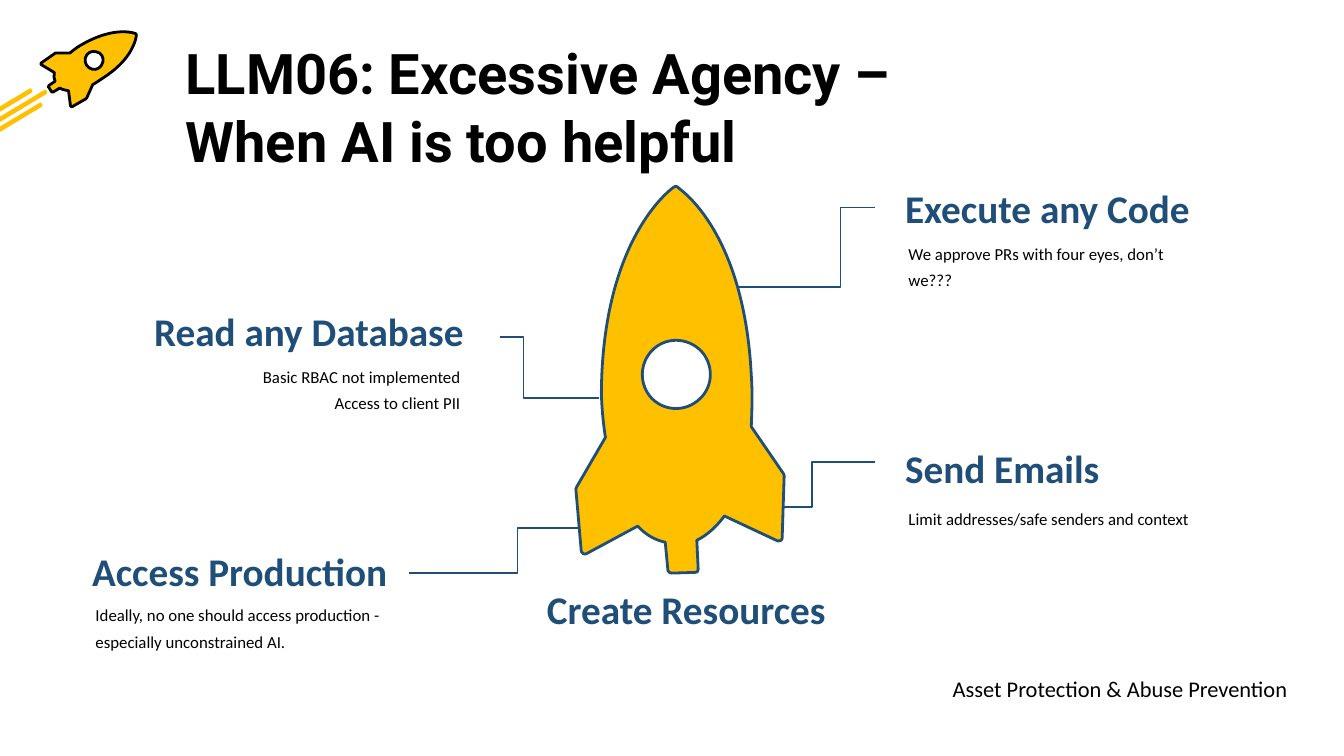
from dataclasses import dataclass
from math import cos, radians, sin

from pptx import Presentation
from pptx.dml.color import RGBColor
from pptx.enum.text import MSO_AUTO_SIZE as AutoSize, PP_ALIGN as Align
from pptx.oxml.ns import qn
from pptx.oxml.xmlchemy import OxmlElement
from pptx.util import Cm, Pt


@dataclass(frozen=True)
class Theme:
    black: RGBColor = RGBColor(0x00, 0x00, 0x00)
    blue: RGBColor = RGBColor(0x1F, 0x4E, 0x79)
    amber: RGBColor = RGBColor(0xFF, 0xC0, 0x00)
    title_font: str = "Roboto"
    font: str = "Calibri"
    title: int = 60
    heading: int = 42
    footer: int = 24
    body: int = 18
    outline: float = 3
    leader: float = 1.75


THEME = Theme()
UNIT = Cm(2.54)  # one unit of the outlines below
WIDE_INSETS = (Cm(0.38), Cm(0.2))
HEADING_H = 2.06
BODY_W = 11.81

# Outlines: a pair is a line to that point, six numbers are a Bézier curve.
SMALL_ROCKET = [
    [(1.04, 0.79), (0.82, 0.79), (0.81, 0.8), (0.61, 0.94), (0.61, 0.96),
     (0.81, 1.08), (0.8, 1.12, 0.8, 1.17, 0.82, 1.21), (0.73, 1.27),
     (0.72, 1.29), (0.77, 1.37), (0.79, 1.37), (0.89, 1.31),
     (0.9, 1.32, 0.95, 1.34, 1.02, 1.35), (1.05, 1.58), (1.07, 1.59),
     (1.28, 1.47), (1.29, 1.46), (1.38, 1.26),
     (1.43, 1.23, 1.49, 1.19, 1.55, 1.15),
     (1.9, 0.92, 1.99, 0.69, 2.02, 0.58),
     (2.03, 0.54, 2.03, 0.52, 2.03, 0.52), (2.02, 0.5),
     (2.01, 0.5, 1.71, 0.37, 1.19, 0.68),
     (1.19, 0.68, 1.12, 0.72, 1.04, 0.79)],
    [(1.27, 0.86), (1.29, 0.79, 1.36, 0.75, 1.43, 0.77),
     (1.51, 0.78, 1.55, 0.86, 1.53, 0.93), (1.51, 1, 1.44, 1.05, 1.37, 1.03),
     (1.3, 1.01, 1.25, 0.94, 1.27, 0.86)],
]
STREAK = [(0.69, 1.4), (-1.2, 2.54), (-1.21, 2.55, -1.23, 2.54, -1.23, 2.53),
          (-1.25, 2.51), (-1.25, 2.5, -1.25, 2.49, -1.24, 2.48), (0.66, 1.34),
          (0.67, 1.33, 0.68, 1.33, 0.69, 1.35), (0.7, 1.37),
          (0.71, 1.38, 0.7, 1.39, 0.69, 1.4)]
STREAK_OFFSETS = [(0, 0), (-0.07, 0.19), (-0.22, -0.02)]
BIG_ROCKET = [
    [(9.01, 6.51), (8.58, 7.25), (8.57, 7.28), (8.65, 8.2),
     (8.65, 8.21, 8.66, 8.23, 8.67, 8.23), (8.68, 8.24),
     (8.69, 8.25, 8.71, 8.25, 8.73, 8.24), (9.49, 7.83),
     (9.61, 7.96, 9.75, 8.04, 9.9, 8.07), (9.94, 8.49),
     (9.94, 8.51, 9.97, 8.53, 9.99, 8.53), (10.34, 8.52),
     (10.35, 8.52, 10.37, 8.52, 10.38, 8.51),
     (10.39, 8.5, 10.39, 8.49, 10.39, 8.47), (10.37, 8.04),
     (10.44, 8.01, 10.61, 7.91, 10.78, 7.68), (11.57, 8.05),
     (11.58, 8.06, 11.6, 8.06, 11.61, 8.05),
     (11.63, 8.04, 11.64, 8.02, 11.64, 8.01), (11.67, 7.08), (11.66, 7.05),
     (11.18, 6.35), (11.19, 6.11, 11.2, 5.85, 11.18, 5.58),
     (11.1, 4.01, 10.57, 3.25, 10.26, 2.94),
     (10.15, 2.83, 10.08, 2.79, 10.08, 2.78),
     (10.06, 2.77, 10.04, 2.77, 10.02, 2.79),
     (9.98, 2.82, 8.97, 3.55, 8.95, 5.83),
     (8.95, 5.83, 8.95, 6.13, 9.01, 6.51)],
    [(9.7, 5.93), (9.51, 5.73, 9.51, 5.41, 9.71, 5.21),
     (9.91, 5.01, 10.23, 5.02, 10.43, 5.22),
     (10.62, 5.42, 10.62, 5.74, 10.42, 5.93),
     (10.22, 6.13, 9.9, 6.13, 9.7, 5.93)],
]

# Leaders: start x and y, x of the bend, end x and y.
LEADERS = [(13.02, 3.09, 12.51, 10.93, 4.27), (7.44, 5.02, 7.79, 8.91, 5.92),
           (13.02, 6.88, 12.08, 10.45, 7.55), (8.64, 7.86, 7.7, 6.08, 8.53)]

# Text, left, top, width, alignment.
HEADINGS = [
    ("Execute any Code", 33.96, 6.86, 11.38, Align.LEFT),
    ("Send Emails", 33.96, 16.66, 7.92, Align.LEFT),
    ("Read any Database", 5.46, 11.51, 12.32, Align.RIGHT),
    ("Access Production", 3.23, 20.55, 11.81, Align.LEFT),
    ("Create Resources", 20.42, 22.02, 11.15, Align.LEFT),
]
# Text, left, top, height, alignment.
BODIES = [
    ("We approve PRs with four eyes, don’t we???", 33.96, 8.79, 2.31, Align.LEFT),
    ("Limit addresses/safe senders and context", 33.96, 18.82, 1.32, Align.LEFT),
    ("Basic RBAC not implemented\vAccess to client PII", 5.97, 13.44, 3.3, Align.RIGHT),
    ("Ideally, no one should access production - especially unconstrained AI.",
     3.23, 22.45, 2.31, Align.LEFT),
]


def turn(x, y, degrees):
    """Rotate a point clockwise about the slide's top left corner."""
    a = radians(degrees)
    return x * cos(a) - y * sin(a), x * sin(a) + y * cos(a)


def bend_curves(sp, contours):
    """Join the three lines that stand for each curve into one Bézier segment."""
    lines = iter(sp._element.findall(".//" + qn("a:lnTo")))
    for contour in contours:
        for step in contour[1:]:
            group = [next(lines) for _ in range(len(step) // 2)]
            if len(group) == 3:
                curve = OxmlElement("a:cubicBezTo")
                group[0].addprevious(curve)
                for line in group:
                    curve.append(line[0])
                    line.getparent().remove(line)


def add_outline(slide, contours, degrees=0, fill=None, line=None, width=0, closed=True):
    """Draw contours, given as they show, as a shape rotated by degrees."""
    builder = None
    for contour in contours:
        pairs = [pair for step in contour for pair in zip(step[::2], step[1::2])]
        first, *rest = [tuple(v * UNIT for v in turn(x, y, -degrees)) for x, y in pairs]
        if builder is None:
            builder = slide.shapes.build_freeform(*first)
        else:
            builder.move_to(*first)
        builder.add_line_segments(rest, close=closed)
    sp = builder.convert_to_shape()
    bend_curves(sp, contours)
    x, y = turn(sp.left + sp.width / 2, sp.top + sp.height / 2, degrees)
    sp.left, sp.top = round(x - sp.width / 2), round(y - sp.height / 2)
    sp.rotation = degrees
    sp.shadow.inherit = False
    for part, colour in ((sp.fill, fill), (sp.line.fill, line)):
        if colour is None:
            part.background()
        else:
            part.solid()
            part.fore_color.rgb = colour
    if line is not None:
        sp.line.width = Pt(width)


def add_streaks(slide):
    for dx, dy in STREAK_OFFSETS:
        moved = [tuple(v + (dy if i % 2 else dx) for i, v in enumerate(step))
                 for step in STREAK]
        add_outline(slide, [moved], 13.9, fill=THEME.amber)


def add_leader(slide, x1, y1, bend, x2, y2):
    points = [(x1, y1), (bend, y1), (bend, y2), (x2, y2)]
    add_outline(slide, [points], line=THEME.blue, width=THEME.leader, closed=False)


def add_text(slide, text, box, size, colour=THEME.black, font=THEME.font, bold=False,
             align=Align.LEFT, spacing=None, insets=None):
    """Add a text box; with insets it wraps, without it stays on one line."""
    tf = slide.shapes.add_textbox(*(Cm(v) for v in box)).text_frame
    tf.word_wrap = insets is not None
    tf.auto_size = AutoSize.SHAPE_TO_FIT_TEXT
    if insets:
        tf.margin_left = tf.margin_right = insets[0]
        tf.margin_top = tf.margin_bottom = insets[1]
    tf.text = text
    for p in tf.paragraphs:
        p.alignment = align
        p.line_spacing = spacing
        for r in p.runs:
            r.font.name, r.font.size, r.font.bold = font, Pt(size), bold
            r.font.color.rgb = colour


def main():
    prs = Presentation()
    prs.slide_width, prs.slide_height = Cm(50.8), Cm(28.58)
    slide = prs.slides.add_slide(prs.slide_layouts[6])

    add_outline(slide, SMALL_ROCKET, 13.9,
                fill=THEME.amber, line=THEME.black, width=THEME.outline)
    add_streaks(slide)
    add_text(slide, "LLM06: Excessive Agency –\nWhen AI is too helpful",
             (6.63, 1.27, 39.14, 5.51), THEME.title, font=THEME.title_font,
             bold=True, insets=WIDE_INSETS)
    for leader in LEADERS:
        add_leader(slide, *leader)
    add_outline(slide, BIG_ROCKET, 315.4,
                fill=THEME.amber, line=THEME.blue, width=THEME.outline)
    for text, left, top, width, align in HEADINGS:
        add_text(slide, text, (left, top, width, HEADING_H), THEME.heading,
                 colour=THEME.blue, bold=True, align=align)
    for text, left, top, height, align in BODIES:
        add_text(slide, text, (left, top, BODY_W, height), THEME.body,
                 align=align, spacing=1.3, insets=WIDE_INSETS)
    add_text(slide, "Asset Protection & Abuse Prevention",
             (35.76, 25.4, 13.28, 1.27), THEME.footer)
    prs.save("out.pptx")


if __name__ == "__main__":
    main()
